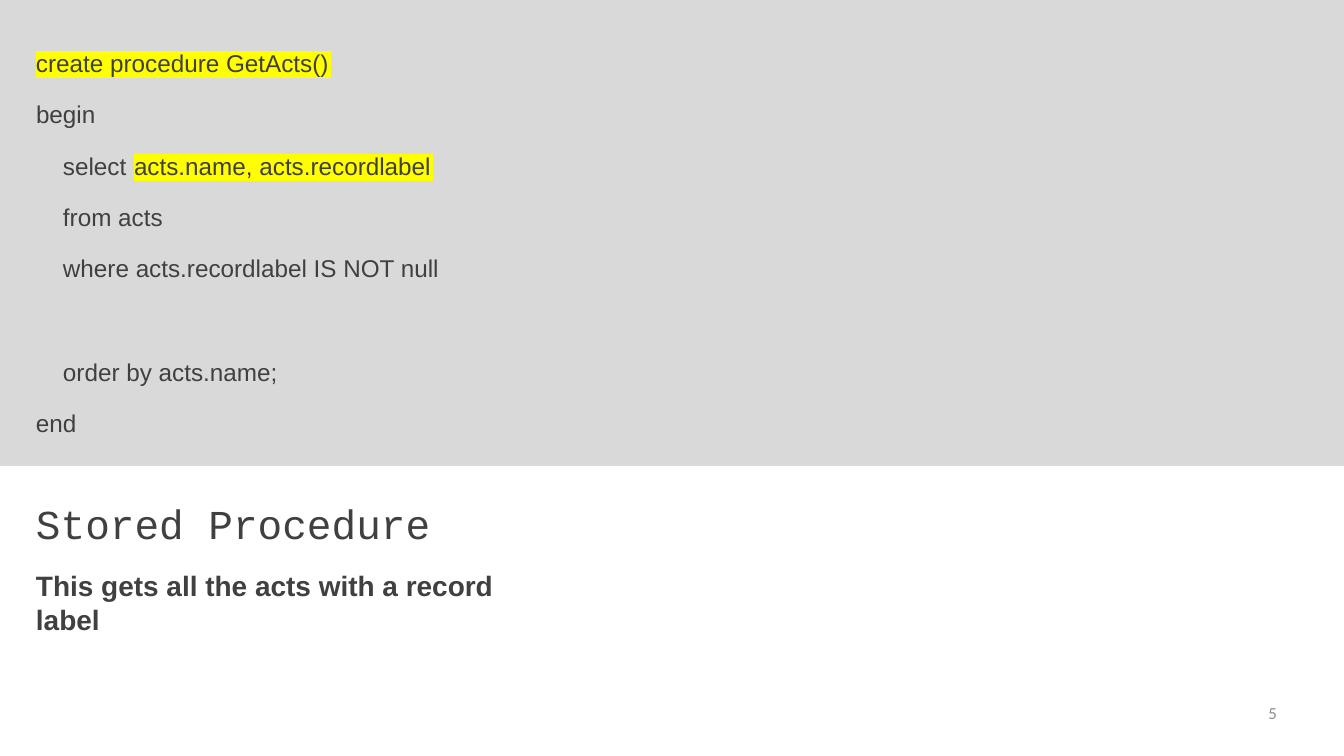
from pptx import Presentation, util as u
from pptx.dml.color import RGBColor
from pptx.enum import shapes, text

PX = 914400 / 67.2  # EMU per pixel
WIDTH, HEIGHT = 1344, 756


def px(length):
    return u.Emu(round(length * PX))


def color(value):
    return RGBColor.from_string(value)


def write(paragraph, words, font="Arial", size=26, ink="404040", bold=False,
          before=0, indent=0, line=None, align=text.PP_ALIGN.LEFT):
    paragraph.alignment = align
    paragraph.space_before = u.Pt(before)
    if line:
        paragraph.line_spacing = u.Pt(line)
    if indent:
        properties = paragraph._p.get_or_add_pPr()
        properties.set("marL", str(px(indent)))
        properties.set("indent", "0")
    run = paragraph.add_run()
    run.text = words
    run.font.name, run.font.size, run.font.bold = font, u.Pt(size), bold
    run.font.color.rgb = color(ink)


class Page:
    mark = "FFFF00"

    def __init__(self, deck):
        self.slide = deck.slides.add_slide(deck.slide_layouts[6])

    def block(self, x, y, w, h, fill):
        shape = self.slide.shapes.add_shape(
            shapes.MSO_SHAPE.RECTANGLE, *map(px, (x, y, w, h)))
        shape.shadow.inherit = False
        shape.fill.solid()
        shape.fill.fore_color.rgb = color(fill)
        shape.line.fill.background()
        return shape

    def fill_text(self, shape, lines, wrap=True):
        frame = shape.text_frame
        frame.word_wrap = wrap
        frame.vertical_anchor = text.MSO_ANCHOR.TOP
        frame.margin_left = frame.margin_right = 0
        frame.margin_top = frame.margin_bottom = 0
        for number, (words, style) in enumerate(lines):
            paragraph = frame.add_paragraph() if number else frame.paragraphs[0]
            write(paragraph, words, **style)

    def text_box(self, x, y, w, h, *lines):
        box = self.slide.shapes.add_textbox(*map(px, (x, y, w, h)))
        self.fill_text(box, lines)

    def highlight(self, x, y, w, h, words):
        self.fill_text(self.block(x, y, w, h, self.mark),
                       [(words, {"line": 28.3})])


deck = Presentation()
deck.slide_width, deck.slide_height = px(WIDTH), px(HEIGHT)
page = Page(deck)

# Background bands
code_height = 466
page.block(0, 0, WIDTH, code_height, "D9D9D9")
page.block(0, code_height, WIDTH, HEIGHT - code_height, "FFFFFF")

# Code listing
first = {"before": 1}
following = {"before": 23.8}
page.highlight(36, 51, 295, 27, "create procedure GetActs()")
page.text_box(36, 99, 63, 31, ("begin", first))
page.text_box(63, 151, 67, 31, ("select", first))
page.highlight(134, 154, 299, 27, "acts.name, acts.recordlabel")
page.text_box(63, 202, 378, 83, ("from acts", first),
              ("where acts.recordlabel IS NOT null", following))

# End of the code, title and explanation
page.text_box(
    35, 357, 526, 245,
    ("order by acts.name;", {"before": 1, "indent": 28}),
    ("end", {"before": 23.8, "indent": 1}),
    ("Stored Procedure",
     {"font": "Courier New", "size": 44, "before": 65, "indent": 1}),
    ("This gets all the acts with a record label",
     {"size": 30, "bold": True, "before": 22.6, "indent": 1}))

# Page number
page.text_box(968, 703, 309, 38, (
    "5", {"font": "Calibri", "size": 18, "ink": "8C8C8C",
          "align": text.PP_ALIGN.RIGHT}))

deck.save("out.pptx")
